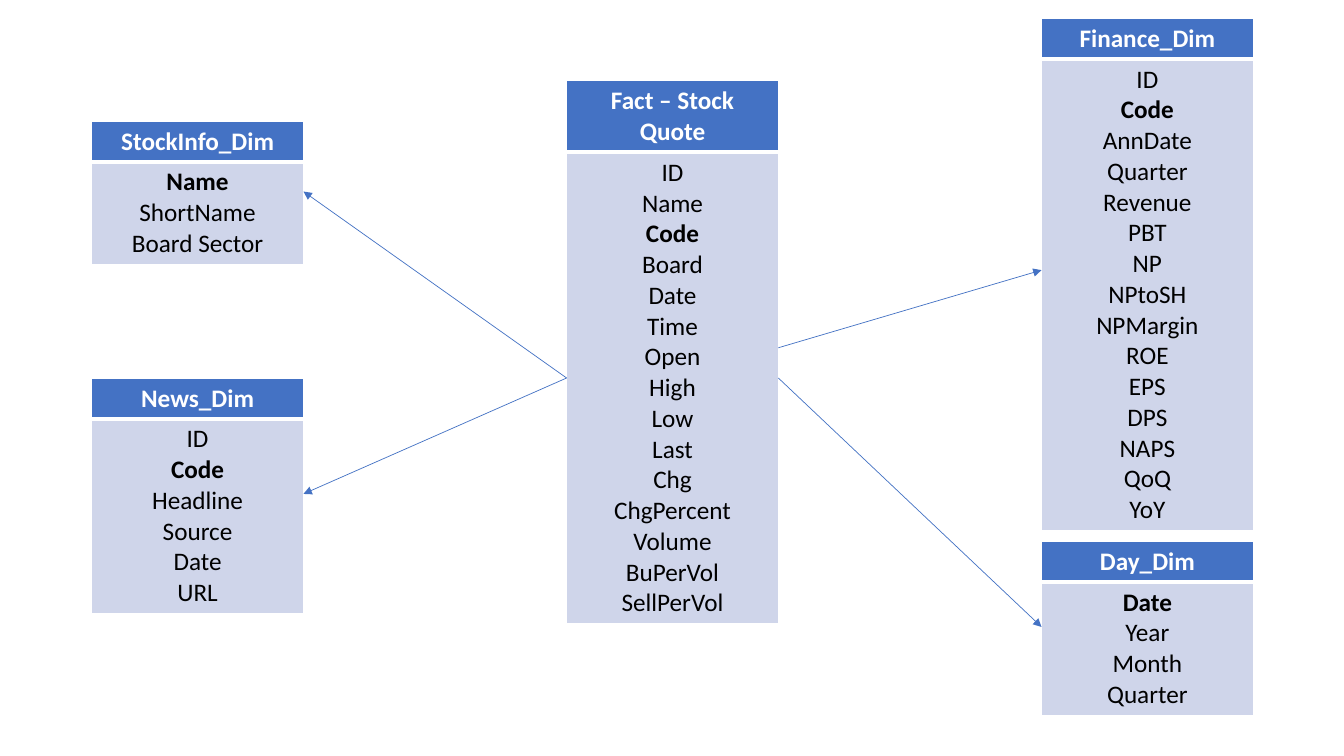
from lxml.etree import SubElement
from pptx import Presentation
from pptx.dml.color import RGBColor as Rgb
from pptx.enum.shapes import MSO_CONNECTOR as Link
from pptx.enum.text import PP_ALIGN as Align
from pptx.oxml.ns import qn
from pptx.util import Inches, Pt

# name: left, top, header lines, key field, fields
TABLES = {
    "Fact – Stock Quote": (5.62, 0.8, 2, "Code", [
        "ID", "Name", "Code", "Board", "Date", "Time", "Open", "High", "Low",
        "Last", "Chg", "ChgPercent", "Volume", "BuPerVol", "SellPerVol"]),
    "Finance_Dim": (10.33, 0.18, 1, "Code", [
        "ID", "Code", "AnnDate", "Quarter", "Revenue", "PBT", "NP", "NPtoSH",
        "NPMargin", "ROE", "EPS", "DPS", "NAPS", "QoQ", "YoY"]),
    "StockInfo_Dim": (0.91, 1.2, 1, "Name", [
        "Name", "ShortName", "Board Sector"]),
    "News_Dim": (0.91, 3.75, 1, "Code", [
        "ID", "Code", "Headline", "Source", "Date", "URL"]),
    "Day_Dim": (10.33, 5.37, 1, "Date", [
        "Date", "Year", "Month", "Quarter"]),
}
FACT = "Fact – Stock Quote"
# dimension: height at which its arrow leaves the fact table
ARROWS = {"Finance_Dim": 3.45, "StockInfo_Dim": 3.75, "News_Dim": 3.75, "Day_Dim": 3.75}

THEME = {
    "font": "Calibri", "size": Pt(18), "blue": "4472C4", "pale": "CFD5EA",
    "white": "FFFFFF", "black": "000000", "thin": Pt(1), "thick": Pt(3), "arrow": Pt(0.5),
}
WIDTH, LINE, PAD = 2.1, 0.3, 0.1


def high(lines):
    """Height of a row that holds this many lines of text."""
    return lines * LINE + PAD


def edge(cell, **sides):
    """Draw white cell borders of the given widths."""
    props = cell._tc.get_or_add_tcPr()
    for side, width in sides.items():
        line = SubElement(props, qn(f"a:ln{side}"), w=str(width))
        fill = SubElement(line, qn("a:solidFill"))
        SubElement(fill, qn("a:srgbClr"), val=THEME["white"])


def fill_cell(cell, lines, fill, ink, bold):
    cell.fill.solid()
    cell.fill.fore_color.rgb = Rgb.from_string(THEME[fill])
    cell.text = "\n".join(lines)
    for para in cell.text_frame.paragraphs:
        para.alignment = Align.CENTER
        font = para.runs[0].font
        style = {"name": THEME["font"], "size": THEME["size"], "bold": para.text in bold}
        for key, value in style.items():
            setattr(font, key, value)
        font.color.rgb = Rgb.from_string(THEME[ink])


def add_entity(shapes, name):
    left, top, lines, key, fields = TABLES[name]
    rows = [high(lines), high(len(fields))]
    table = shapes.add_table(2, 1, *map(Inches, (left, top, WIDTH, sum(rows)))).table
    for row, size in zip(table.rows, rows):
        row.height = Inches(size)
    head, body = table.cell(0, 0), table.cell(1, 0)
    thin, thick = THEME["thin"], THEME["thick"]
    edge(head, L=thin, R=thin, T=thin, B=thick)
    edge(body, L=thin, R=thin, T=thick, B=thin)
    fill_cell(head, [name], "blue", "white", [name])
    fill_cell(body, fields, "pale", "black", [key])


def add_arrow(shapes, name, start):
    """Point from the fact table to the middle of a dimension's near side."""
    fact = TABLES[FACT][0]
    left, top, lines, _, fields = TABLES[name]
    mid = top + (high(lines) + high(len(fields))) / 2
    ends = (fact + WIDTH, left) if left > fact else (fact, left + WIDTH)
    arrow = shapes.add_connector(
        Link.STRAIGHT, *map(Inches, (ends[0], start, ends[1], mid)))
    arrow.line.color.rgb = Rgb.from_string(THEME["blue"])
    arrow.line.width = THEME["arrow"]
    SubElement(arrow.line._get_or_add_ln(), qn("a:tailEnd"), type="triangle")
    SubElement(arrow._element.spPr, qn("a:effectLst"))


def main():
    deck = Presentation()
    deck.slide_width, deck.slide_height = Inches(13.33), Inches(7.5)
    shapes = deck.slides.add_slide(deck.slide_layouts[6]).shapes
    for name in TABLES:
        add_entity(shapes, name)
    for name, start in ARROWS.items():
        add_arrow(shapes, name, start)
    deck.save("out.pptx")


if __name__ == "__main__":
    main()
